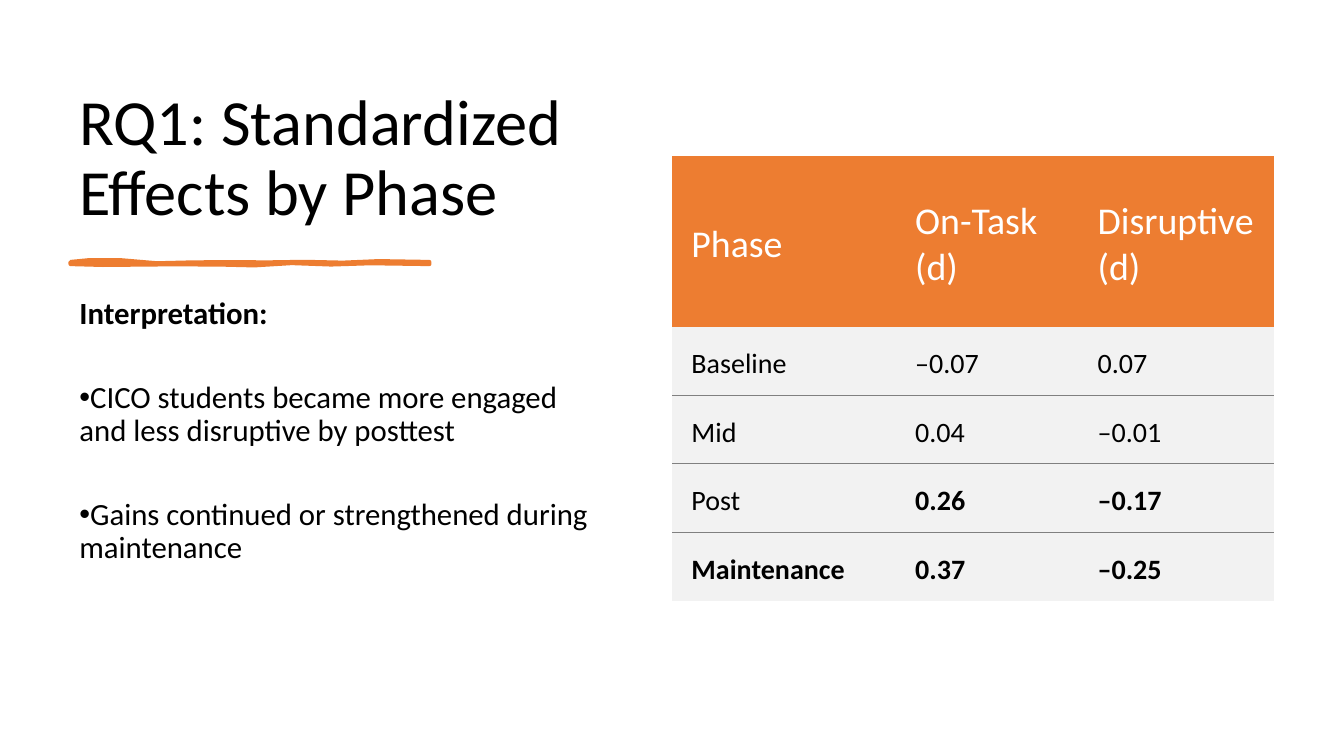
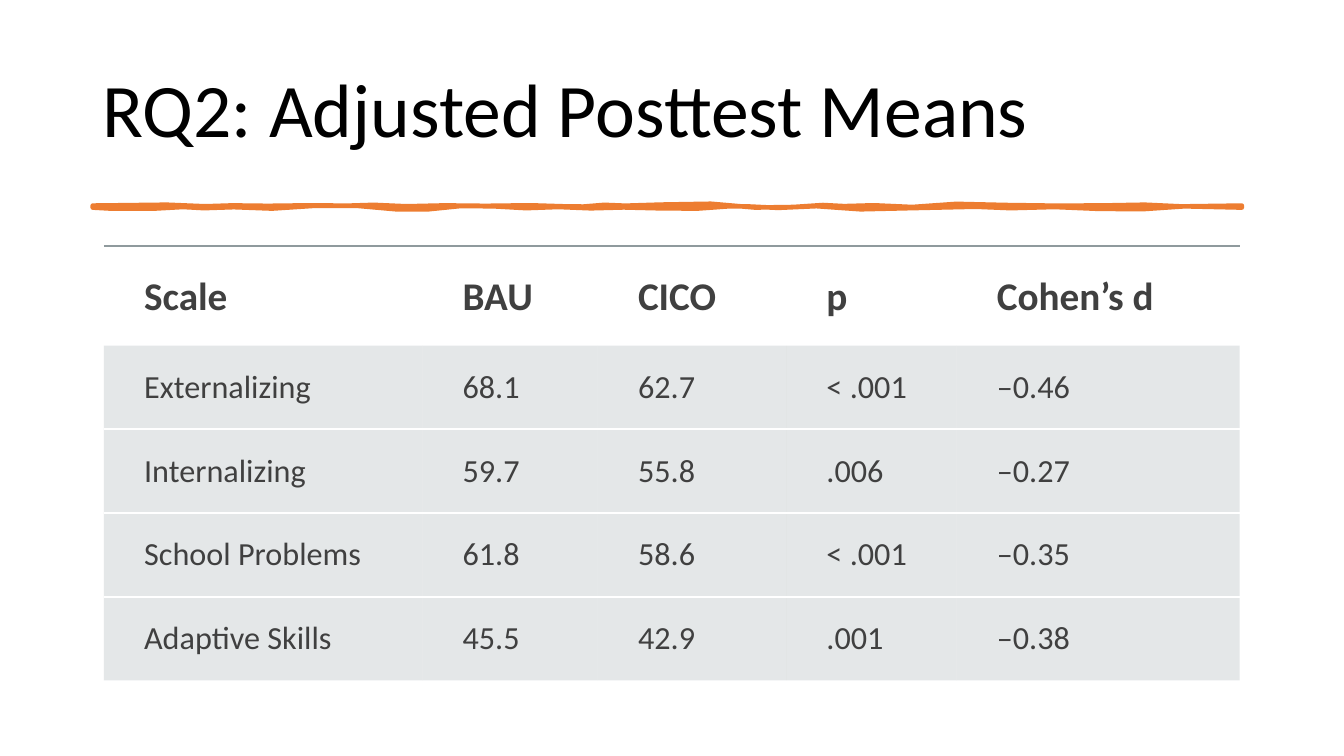
import dataclasses
import itertools

import pptx
import pptx.dml.color
import pptx.enum.text
import pptx.oxml
import pptx.oxml.ns
import pptx.util

SCALE = 9144  # EMU in one px, 100 px to the inch
SLIDE_WIDTH, SLIDE_HEIGHT = 12192000, 6858000  # EMU, 16:9
ANCHOR = pptx.enum.text.MSO_ANCHOR
NO_GRID_STYLE = "{2D5ABB26-0587-4C30-8999-92F81FD0307C}"


@dataclasses.dataclass(frozen=True)
class Theme:
    font: str = "Calibri"
    ink: str = "000000"
    accent: str = "ED7D31"
    white: str = "FFFFFF"
    pale: str = "F2F2F2"
    rule: str = "808080"
    slate: str = "404040"
    slate_fill: str = "B4BCBE"
    slate_rule: str = "8F9A9D"
    title_small: int = 46
    title_large: int = 54
    body: int = 22
    effects_header: int = 27
    effects_cell: int = 20
    means_header: int = 28
    means_cell: int = 23


THEME = Theme()


@dataclasses.dataclass(frozen=True)
class CellStyle:
    size: int
    color: str
    insets: tuple  # left, top, right, bottom
    fill: str = ""
    opacity: int = 100
    bold: bool = False
    anchor: ANCHOR = ANCHOR.MIDDLE
    top: tuple = ()  # colour, points, opacity
    bottom: tuple = ()


def px(length):
    return pptx.util.Emu(round(length * SCALE))


def rgb(color):
    return pptx.dml.color.RGBColor.from_string(color)


def element(xml):
    namespace = pptx.oxml.ns.nsdecls("a")
    return pptx.oxml.parse_xml(xml.replace(" ", f" {namespace} ", 1))


def alpha(opacity):
    return f'<a:alpha val="{opacity * 1000}"/>'


def write(frame, text, size=THEME.body, color=THEME.ink, bold=False,
          line=None, before=0, bullet=False):
    """Add one paragraph, filling the empty first one if there is one."""
    first = frame.paragraphs[0]
    para = frame.add_paragraph() if first.runs else first
    if bullet:
        properties = para._p.get_or_add_pPr()
        properties.set("marL", "0")
        properties.set("indent", str(px(-25)))
        properties.append(element('<a:buFont typeface="Arial"/>'))
        properties.append(element('<a:buChar char="•"/>'))
    if line:
        para.line_spacing = line
    if before:
        para.space_before = pptx.util.Pt(before)
    span = para.add_run()
    span.text = text
    span.font.name = THEME.font
    span.font.size = pptx.util.Pt(size)
    span.font.bold = bold
    span.font.color.rgb = rgb(color)


def sketch_edge(knots, y):
    """Wavering edge through knots (x, tilt), drawn by the crests between them."""
    points = [(knots[0][0], y)]
    for (start, tilt_out), (end, tilt_in) in itertools.pairwise(knots):
        for t in (0.25, 0.75):
            wobble = 3 * t * (1 - t) * ((1 - t) * tilt_out - t * tilt_in)
            points.append((start + (end - start) * t, y + wobble))
    return points + [(knots[-1][0], y)]


class SlideMaker:
    def __init__(self, deck, theme):
        self.deck, self.theme, self.page = deck, theme, None

    def new_page(self):
        self.page = self.deck.slides.add_slide(self.deck.slide_layouts[6])

    def text_box(self, left, top, width, height, anchor=ANCHOR.TOP):
        box = self.page.shapes.add_textbox(*map(px, (left, top, width, height)))
        frame = box.text_frame
        frame.word_wrap = True
        frame.vertical_anchor = anchor
        return frame

    def title(self, text, area, size, anchor):
        write(self.text_box(*area, anchor=anchor), text, size=size, line=0.9)

    def sketch_line(self, y, upper, lower, weight):
        """A hand-drawn bar: upper edge to the right, lower edge back."""
        outline = sketch_edge(upper, y) + sketch_edge(lower, y + 2)
        start, *others = [(px(x), px(height)) for x, height in outline]
        builder = self.page.shapes.build_freeform(*start, scale=1.0)
        builder.add_line_segments(others, close=True)
        shape = builder.convert_to_shape()
        shape.shadow.inherit = False
        shape.fill.solid()
        shape.fill.fore_color.rgb = rgb(self.theme.accent)
        shape.line.color.rgb = rgb(self.theme.accent)
        shape.line.width = pptx.util.Pt(weight)

    def cell(self, cell, text, style):
        cell.margin_left, cell.margin_top, cell.margin_right, cell.margin_bottom = map(
            px, style.insets)
        cell.vertical_anchor = style.anchor
        write(cell.text_frame, text, size=style.size, color=style.color, bold=style.bold)
        if style.fill:
            cell.fill.solid()
            cell.fill.fore_color.rgb = rgb(style.fill)
        else:
            cell.fill.background()
        properties = cell._tc.get_or_add_tcPr()
        if style.opacity < 100:
            color = properties.find(".//" + pptx.oxml.ns.qn("a:srgbClr"))
            color.append(element(alpha(style.opacity)))
        # Borders come before the fill, top before bottom
        for tag, border in (("lnB", style.bottom), ("lnT", style.top)):
            if border:
                color, points, opacity = border
                properties.insert(0, element(
                    f'<a:{tag} w="{pptx.util.Pt(points)}"><a:solidFill>'
                    f'<a:srgbClr val="{color}">{alpha(opacity)}</a:srgbClr>'
                    f'</a:solidFill></a:{tag}>'))

    def table(self, left, top, widths, heights, rows, header, body, strong=()):
        """Strong holds the (row, column) places set in bold."""
        frame = self.page.shapes.add_table(
            len(rows), len(widths), px(left), px(top), px(sum(widths)), px(sum(heights)))
        table = frame.table
        table.first_row = table.horz_banding = False
        table._tbl.tblPr.find(pptx.oxml.ns.qn("a:tableStyleId")).text = NO_GRID_STYLE
        for column, width in zip(table.columns, widths):
            column.width = px(width)
        for index, (row, height, texts) in enumerate(zip(table.rows, heights, rows)):
            row.height = px(height)
            style = body if index else header
            if index == len(rows) - 1:
                style = dataclasses.replace(style, bottom=())
            for place, text in enumerate(texts):
                bold = style.bold or (index, place) in strong
                self.cell(table.cell(index, place), text,
                          dataclasses.replace(style, bold=bold))


def effects_page(maker):
    theme = maker.theme
    maker.new_page()
    maker.title("RQ1: Standardized Effects by Phase", (69, 70, 527, 162),
                theme.title_small, ANCHOR.BOTTOM)
    maker.sketch_line(
        260,
        [(70, -3), (138, 3), (209, 0), (284, -1), (359, -2), (426, 0)],
        [(426, 0), (348, 2), (270, 3), (199, 0), (70, -2)],
        weight=3)

    # Interpretation
    frame = maker.text_box(69, 291, 527, 388)
    write(frame, "Interpretation:", bold=True, line=0.9)
    for finding in ("CICO students became more engaged and less disruptive by posttest",
                    "Gains continued or strengthened during maintenance"):
        write(frame, finding, line=0.9, before=36, bullet=True)

    # Effect sizes
    insets = (19, 17, 19, 10)
    maker.table(
        667, 155, [222, 181, 194], [169] + [68] * 4,
        [("Phase", "On-Task (d)", "Disruptive (d)"),
         ("Baseline", "–0.07", "0.07"),
         ("Mid", "0.04", "–0.01"),
         ("Post", "0.26", "–0.17"),
         ("Maintenance", "0.37", "–0.25")],
        header=CellStyle(theme.effects_header, theme.white, insets, fill=theme.accent),
        body=CellStyle(theme.effects_cell, theme.ink, insets, fill=theme.pale,
                       bottom=(theme.rule, 0.75, 100)),
        strong={(3, 1), (3, 2), (4, 0), (4, 1), (4, 2)})


def means_page(maker):
    theme = maker.theme
    maker.new_page()
    maker.title("RQ2: Adjusted Posttest Means", (92, 40, 1150, 145),
                theme.title_large, ANCHOR.MIDDLE)
    maker.sketch_line(
        204,
        [(92, 0), (190, 2), (244, 1), (331, 1), (384, 2), (460, 1), (548, 1),
         (589, -2), (631, -1), (730, 4), (806, -2), (848, -2), (924, -4),
         (1023, 0), (1087, 0), (1152, 2), (1232, 0)],
        [(1232, 0), (1156, 3), (1068, -2), (981, -2), (928, 0), (829, -4),
         (753, -2), (711, 2), (635, -1), (570, -2), (506, -2), (441, 3),
         (377, -3), (289, 3), (213, 2), (171, 2), (92, -2)],
        weight=3.25)

    # Adjusted means
    maker.table(
        103, 244, [316, 174, 187, 169, 281], [99] + [83] * 4,
        [("Scale", "BAU", "CICO", "p", "Cohen’s d"),
         ("Externalizing", "68.1", "62.7", "< .001", "–0.46"),
         ("Internalizing", "59.7", "55.8", ".006", "–0.27"),
         ("School Problems", "61.8", "58.6", "< .001", "–0.35"),
         ("Adaptive Skills", "45.5", "42.9", ".001", "–0.38")],
        header=CellStyle(theme.means_header, theme.slate, (40, 24, 24, 24), bold=True,
                         anchor=ANCHOR.BOTTOM, top=(theme.slate_rule, 1.5, 60)),
        body=CellStyle(theme.means_cell, theme.slate, (40, 21, 21, 21),
                       fill=theme.slate_fill, opacity=35,
                       bottom=(theme.white, 1.5, 100)))


def main():
    deck = pptx.Presentation()
    deck.slide_width, deck.slide_height = SLIDE_WIDTH, SLIDE_HEIGHT
    maker = SlideMaker(deck, THEME)
    effects_page(maker)
    means_page(maker)
    deck.save("out.pptx")


if __name__ == "__main__":
    main()
